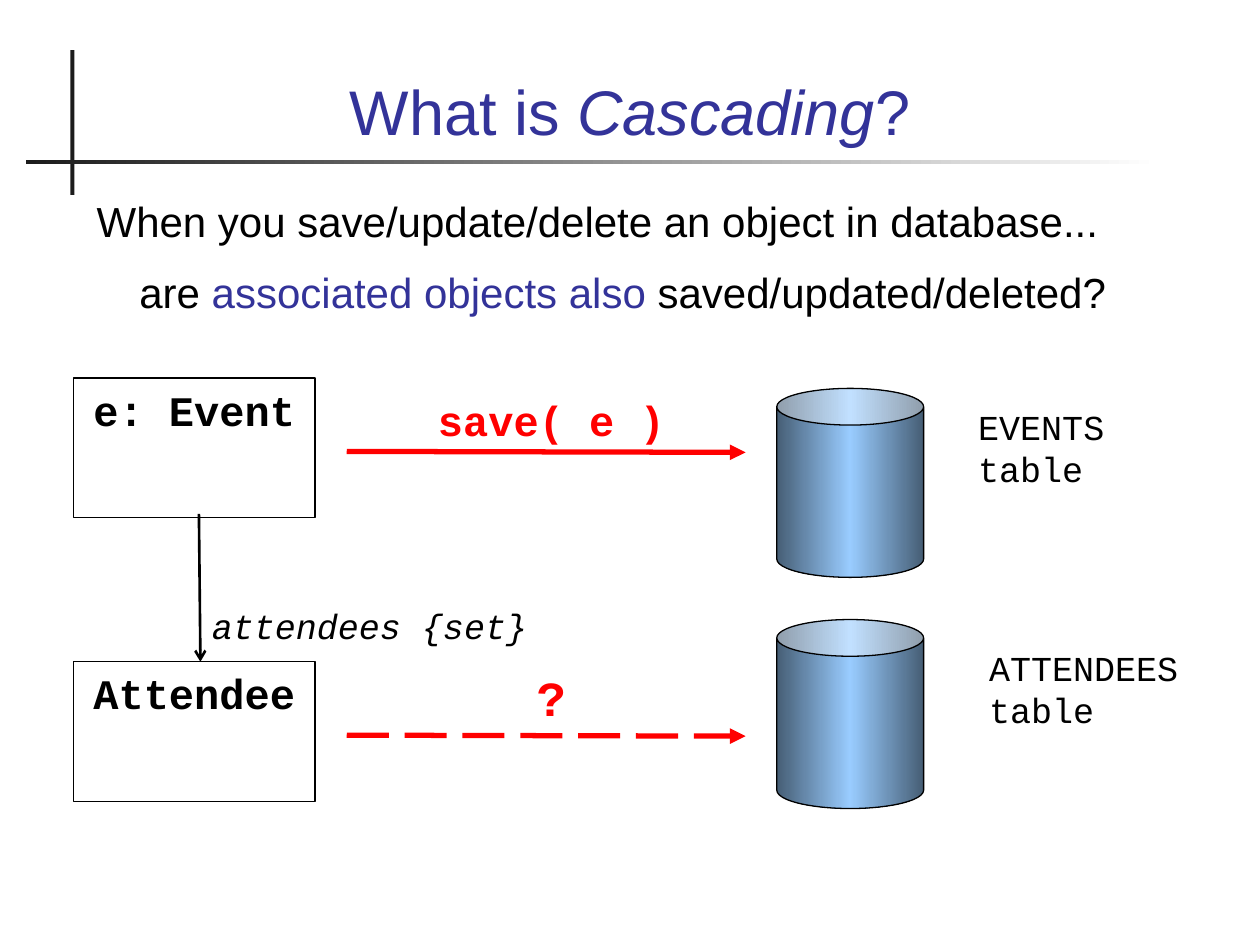
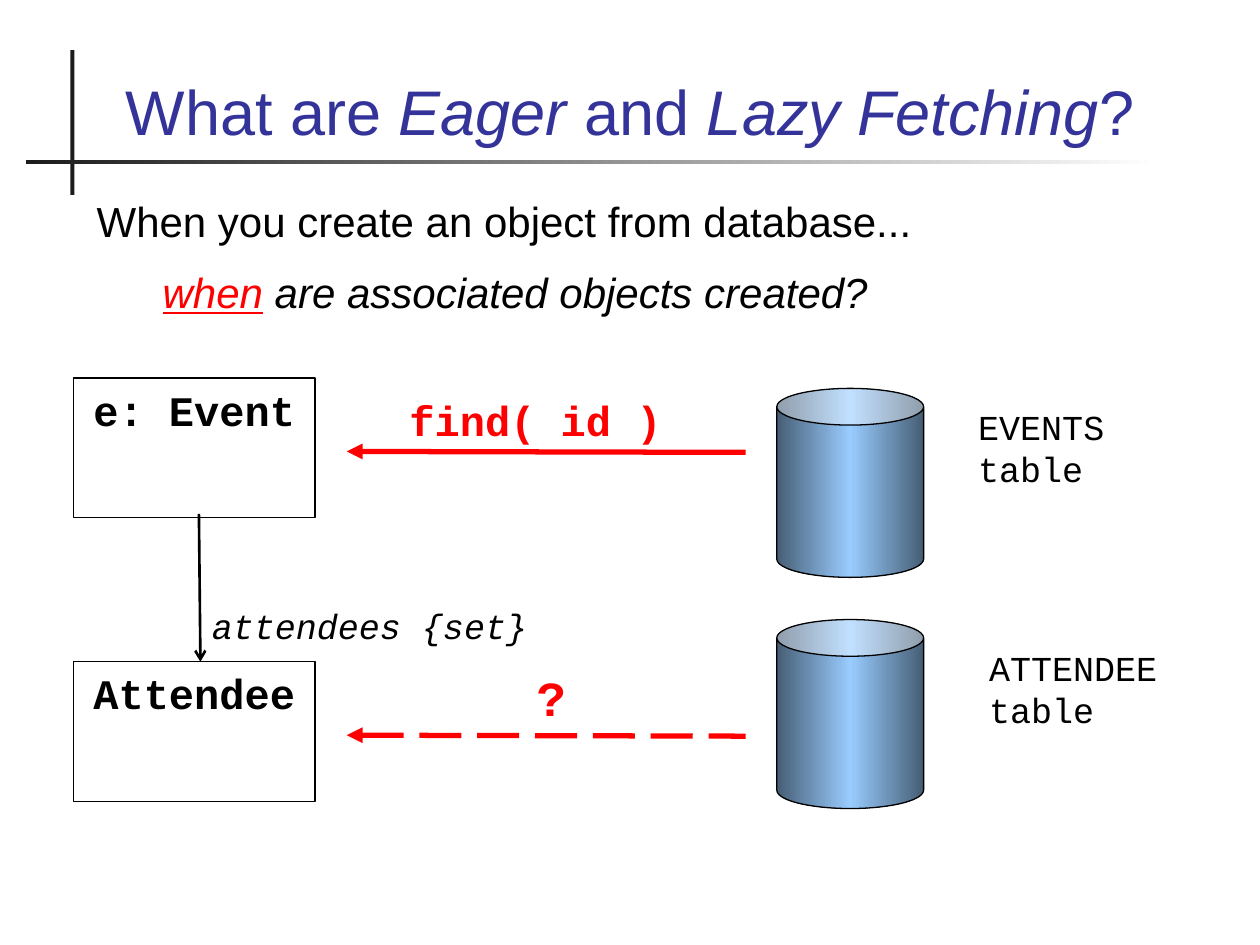
from dataclasses import dataclass, replace

from lxml.etree import SubElement
from pptx import Presentation
from pptx.dml.color import RGBColor
from pptx.enum.dml import MSO_LINE
from pptx.enum.shapes import MSO_CONNECTOR, MSO_SHAPE
from pptx.enum.text import MSO_ANCHOR, PP_ALIGN
from pptx.oxml import parse_xml
from pptx.oxml.ns import nsdecls, qn
from pptx.shapes.autoshape import Shape
from pptx.slide import Slide
from pptx.util import Cm, Pt

COLORS = {
    "text": "000000",
    "title": "333399",
    "accent": "FF0000",
    "rule": "1C1C1C",
    "background": "FFFFFF",
    "can_edge": "465E75",
    "can_middle": "99CCFF",
}
SANS = "Arial"
MONO = "Courier New"


@dataclass(frozen=True)
class Box:
    left: float
    top: float
    width: float
    height: float

    def lengths(self) -> list[Cm]:
        return [Cm(value) for value in (self.left, self.top, self.width, self.height)]


@dataclass(frozen=True)
class Span:
    text: str
    color: str = "text"
    italic: bool = False
    underline: bool = False


@dataclass(frozen=True)
class Line:
    spans: tuple[Span, ...]
    indent: float = 0
    space_before: float = 0


@dataclass(frozen=True)
class Style:
    font: str
    size: float
    bold: bool = False
    align: PP_ALIGN = PP_ALIGN.LEFT
    anchor: MSO_ANCHOR = MSO_ANCHOR.TOP


@dataclass(frozen=True)
class Arrow:
    start: tuple[float, float]
    end: tuple[float, float]
    color: str
    width: float
    head: str
    at_start: bool = False
    dashed: bool = False


@dataclass(frozen=True)
class Topic:
    title: tuple[Span, ...]
    body: tuple[Line, ...]
    call: str
    call_box: Box
    attendee_label: str
    loads: bool


TITLE_STYLE = Style(SANS, 36, align=PP_ALIGN.CENTER, anchor=MSO_ANCHOR.BOTTOM)
BODY_STYLE = Style(SANS, 24)
CODE_STYLE = Style(MONO, 24, bold=True, align=PP_ALIGN.CENTER)
QUESTION_STYLE = replace(CODE_STYLE, size=28)
LABEL_STYLE = Style(MONO, 20)

TITLE_BOX = Box(1.7, 0.71, 22, 2.41)
BODY_BOX = Box(1.7, 3.81, 22, 3.38)
QUESTION_BOX = Box(8.47, 13.34, 5.29, 1.44)
ATTENDEES_BOX = Box(4.02, 12.07, 7.2, 1.11)
VERTICAL_RULE = Box(1.42, 1.01, 0.08, 2.92)
HORIZONTAL_RULE = Box(0.53, 3.22, 22.84, 0.08)
OBJECT_BOXES = {
    "e: Event": Box(1.48, 7.62, 4.87, 2.82),
    "Attendee": Box(1.48, 13.34, 4.87, 2.82),
}
CAN_BOXES = [Box(15.66, top, 2.96, 3.81) for top in (7.83, 12.49)]
EVENTS_BOX = Box(19.47, 8.05, 4.87, 1.96)
ATTENDEE_TABLE_BOX = Box(19.69, 12.91, 4.87, 1.96)

TOPICS = [
    Topic(
        title=(
            Span("What is ", "title"),
            Span("Cascading", "title", italic=True),
            Span("?", "title"),
        ),
        body=(
            Line((Span("When you save/update/delete an object in database..."),)),
            Line(
                (
                    Span("are "),
                    Span("associated objects also", "title"),
                    Span(" saved/updated/deleted?"),
                ),
                indent=0.86,
                space_before=12,
            ),
        ),
        call="save( e )",
        call_box=Box(8.47, 7.83, 5.29, 1.27),
        attendee_label="ATTENDEES table",
        loads=False,
    ),
    Topic(
        title=(
            Span("What are ", "title"),
            Span("Eager ", "title", italic=True),
            Span("and", "title"),
            Span(" Lazy Fetching", "title", italic=True),
            Span("?", "title"),
        ),
        body=(
            Line((Span("When you create an object from database..."),)),
            Line(
                (
                    Span("when", "accent", italic=True, underline=True),
                    Span(" are associated objects created?", italic=True),
                ),
                indent=1.33,
                space_before=12,
            ),
        ),
        call="find( id )",
        call_box=Box(7.83, 7.83, 5.93, 1.27),
        attendee_label="ATTENDEE table",
        loads=True,
    ),
]


def rgb(name: str) -> RGBColor:
    return RGBColor.from_string(COLORS[name])


def write_lines(shape: Shape, lines: tuple[Line, ...], style: Style) -> None:
    frame = shape.text_frame
    frame.word_wrap = True
    frame.vertical_anchor = style.anchor
    for index, line in enumerate(lines):
        paragraph = frame.add_paragraph() if index else frame.paragraphs[0]
        paragraph.alignment = style.align
        if line.indent:
            paragraph._p.get_or_add_pPr().set("marL", str(Cm(line.indent)))
        if line.space_before:
            paragraph.space_before = Pt(line.space_before)
        for span in line.spans:
            run = paragraph.add_run()
            run.text = span.text
            font = run.font
            font.name = style.font
            font.size = Pt(style.size)
            font.bold = style.bold
            font.italic = span.italic
            font.underline = span.underline
            font.color.rgb = rgb(span.color)


def add_text(slide: Slide, box: Box, style: Style, *lines: Line) -> None:
    write_lines(slide.shapes.add_textbox(*box.lengths()), lines, style)


def add_label(slide: Slide, box: Box, style: Style, span: Span) -> None:
    add_text(slide, box, style, Line((span,)))


def add_plain_shape(slide: Slide, kind: MSO_SHAPE, box: Box, outlined: bool) -> Shape:
    shape = slide.shapes.add_shape(kind, *box.lengths())
    shape.shadow.inherit = False
    shape.fill.background()
    if outlined:
        shape.line.color.rgb = rgb("text")
        shape.line.width = Pt(0.75)
    else:
        shape.line.fill.background()
    return shape


def set_gradient(shape: Shape, *names: str) -> None:
    stops = "".join(
        f'<a:gs pos="{100000 * index // (len(names) - 1)}">'
        f'<a:srgbClr val="{COLORS[name]}"/></a:gs>'
        for index, name in enumerate(names)
    )
    properties = shape._element.spPr
    properties.replace(
        properties.find(qn("a:noFill")),
        parse_xml(
            f'<a:gradFill {nsdecls("a")} rotWithShape="1"><a:gsLst>{stops}</a:gsLst>'
            '<a:lin ang="10800000" scaled="0"/></a:gradFill>'
        ),
    )


def add_arrow(slide: Slide, arrow: Arrow) -> None:
    points = [Cm(value) for value in arrow.start + arrow.end]
    connector = slide.shapes.add_connector(MSO_CONNECTOR.STRAIGHT, *points)
    connector.line.color.rgb = rgb(arrow.color)
    connector.line.width = Pt(arrow.width)
    if arrow.dashed:
        connector.line.dash_style = MSO_LINE.LONG_DASH
    properties = connector._element.spPr
    end_tag = "a:headEnd" if arrow.at_start else "a:tailEnd"
    SubElement(properties.find(qn("a:ln")), qn(end_tag), type=arrow.head)
    SubElement(properties, qn("a:effectLst"))


def add_title_rules(slide: Slide) -> None:
    vertical = add_plain_shape(slide, MSO_SHAPE.RECTANGLE, VERTICAL_RULE, False)
    vertical.fill.solid()
    vertical.fill.fore_color.rgb = rgb("rule")
    horizontal = add_plain_shape(slide, MSO_SHAPE.RECTANGLE, HORIZONTAL_RULE, False)
    set_gradient(horizontal, "background", "rule")


def add_objects(slide: Slide) -> None:
    for name, box in OBJECT_BOXES.items():
        shape = add_plain_shape(slide, MSO_SHAPE.RECTANGLE, box, True)
        write_lines(shape, (Line((Span(name),)),), CODE_STYLE)
    add_arrow(slide, Arrow((4.01, 10.36), (4.04, 13.34), "text", 1.5, "arrow"))
    add_label(slide, ATTENDEES_BOX, LABEL_STYLE, Span("attendees {set}", italic=True))


def add_tables(slide: Slide, attendee_label: str) -> None:
    for box in CAN_BOXES:
        can = add_plain_shape(slide, MSO_SHAPE.CAN, box, True)
        can.adjustments[0] = 0.25
        set_gradient(can, "can_edge", "can_middle", "can_edge")
    add_label(slide, EVENTS_BOX, LABEL_STYLE, Span("EVENTS table"))
    add_label(slide, ATTENDEE_TABLE_BOX, LABEL_STYLE, Span(attendee_label))


def add_calls(slide: Slide, topic: Topic) -> None:
    for top, dashed in ((9.1, False), (14.82, True)):
        start, end = (6.99, top), (15.03, top + 0.02)
        add_arrow(slide, Arrow(start, end, "accent", 3, "triangle", topic.loads, dashed))
    add_label(slide, topic.call_box, CODE_STYLE, Span(topic.call, "accent"))
    add_label(slide, QUESTION_BOX, QUESTION_STYLE, Span("?", "accent"))


def main() -> None:
    presentation = Presentation()
    presentation.slide_width = Cm(25.4)
    presentation.slide_height = Cm(19.05)
    for topic in TOPICS:
        slide = presentation.slides.add_slide(presentation.slide_layouts[6])
        add_title_rules(slide)
        add_text(slide, TITLE_BOX, TITLE_STYLE, Line(topic.title))
        add_text(slide, BODY_BOX, BODY_STYLE, *topic.body)
        add_objects(slide)
        add_tables(slide, topic.attendee_label)
        add_calls(slide, topic)
    presentation.save("out.pptx")


if __name__ == "__main__":
    main()
